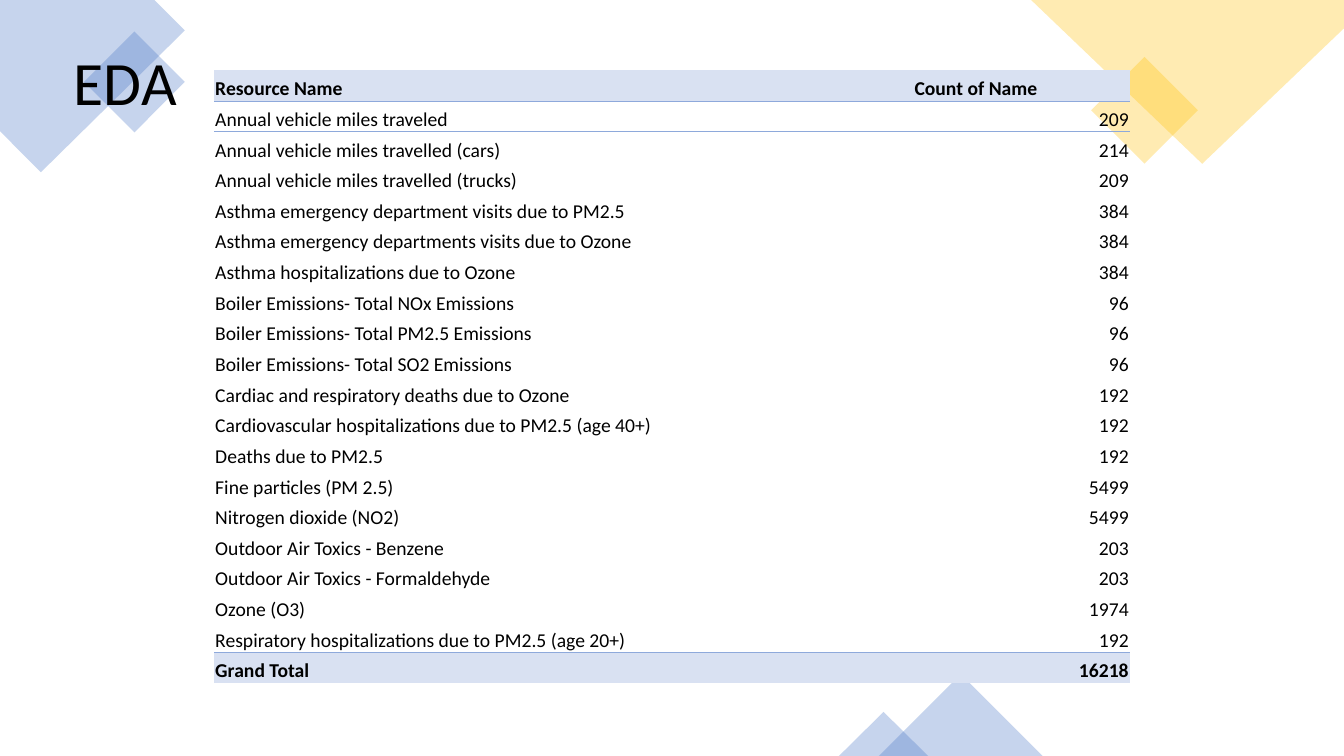
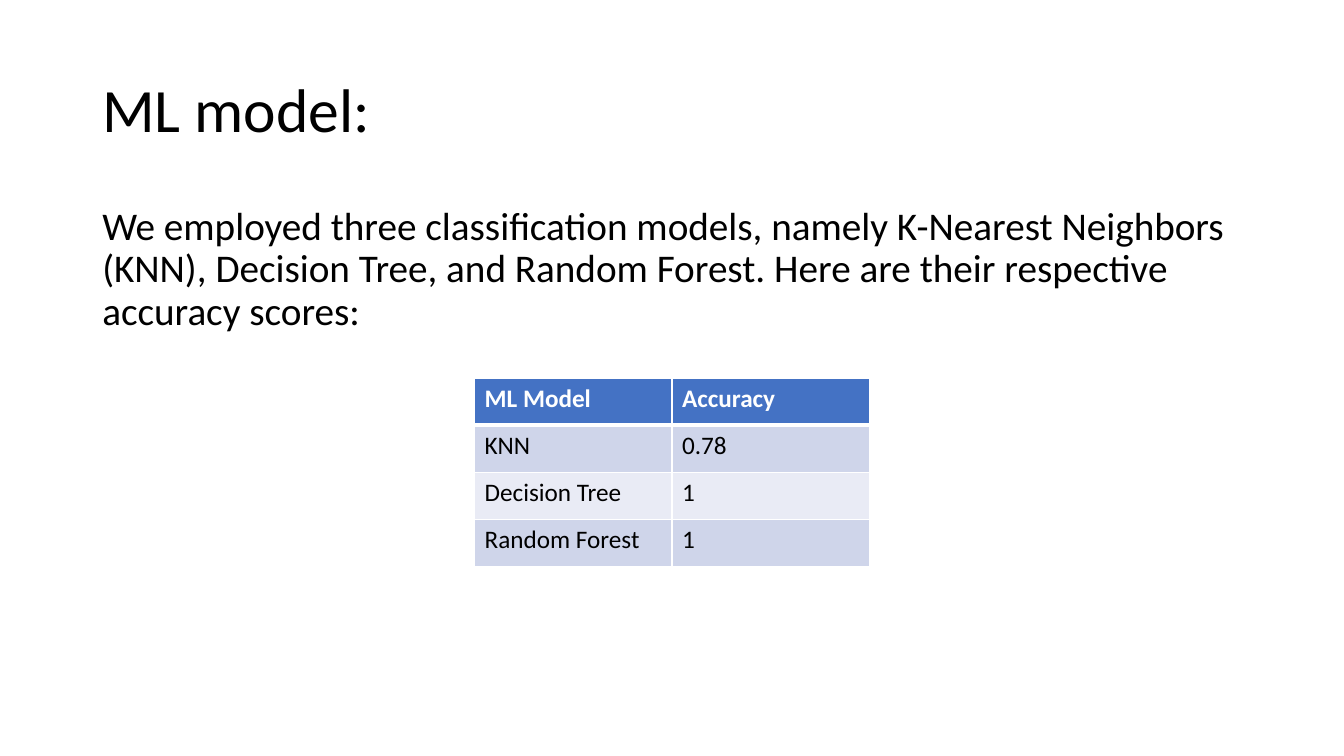
from lxml import etree
from pptx import Presentation
from pptx.dml.color import RGBColor
from pptx.enum.shapes import MSO_SHAPE
from pptx.enum.text import MSO_ANCHOR, PP_ALIGN
from pptx.oxml.ns import qn
from pptx.util import Pt

SCALE = 9525
BLACK = RGBColor(0x00, 0x00, 0x00)
WHITE = RGBColor(0xFF, 0xFF, 0xFF)
BLUE = RGBColor(0x44, 0x72, 0xC4)
GOLD = RGBColor(0xFF, 0xC0, 0x00)
PALE_BLUE = RGBColor(0xD9, 0xE1, 0xF2)
RULE_BLUE = RGBColor(0x8E, 0xA9, 0xDB)
BAND_DARK = RGBColor(0xCF, 0xD5, 0xEA)
BAND_LIGHT = RGBColor(0xE9, 0xEB, 0xF5)
RECTANGLE = MSO_SHAPE.RECTANGLE
TRIANGLE = MSO_SHAPE.ISOSCELES_TRIANGLE
TOP, MIDDLE, BOTTOM = MSO_ANCHOR.TOP, MSO_ANCHOR.MIDDLE, MSO_ANCHOR.BOTTOM
LEFT, RIGHT = PP_ALIGN.LEFT, PP_ALIGN.RIGHT
PLAIN_TABLE = "{2D5ABB26-0587-4C30-8999-92F81FD0307C}"
BORDER_TAGS = {"left": "a:lnL", "right": "a:lnR", "top": "a:lnT", "bottom": "a:lnB"}

RESOURCE_COUNTS = [
    ("Resource Name", "Count of Name"),
    ("Annual vehicle miles traveled", "209"),
    ("Annual vehicle miles travelled (cars)", "214"),
    ("Annual vehicle miles travelled (trucks)", "209"),
    ("Asthma emergency department visits due to PM2.5", "384"),
    ("Asthma emergency departments visits due to Ozone", "384"),
    ("Asthma hospitalizations due to Ozone", "384"),
    ("Boiler Emissions- Total NOx Emissions", "96"),
    ("Boiler Emissions- Total PM2.5 Emissions", "96"),
    ("Boiler Emissions- Total SO2 Emissions", "96"),
    ("Cardiac and respiratory deaths due to Ozone", "192"),
    ("Cardiovascular hospitalizations due to PM2.5 (age 40+)", "192"),
    ("Deaths due to PM2.5", "192"),
    ("Fine particles (PM 2.5)", "5499"),
    ("Nitrogen dioxide (NO2)", "5499"),
    ("Outdoor Air Toxics - Benzene", "203"),
    ("Outdoor Air Toxics - Formaldehyde", "203"),
    ("Ozone (O3)", "1974"),
    ("Respiratory hospitalizations due to PM2.5 (age 20+)", "192"),
    ("Grand Total", "16218"),
]
MODEL_SCORES = [
    ("ML Model", "Accuracy"),
    ("KNN", "0.78"),
    ("Decision Tree", "1"),
    ("Random Forest", "1"),
]
MODEL_TEXT = (
    "We employed three classification models, namely K-Nearest Neighbors (KNN), "
    "Decision Tree, and Random Forest. Here are their respective accuracy scores:"
)


def set_values(target, values):
    for name, value in values.items():
        setattr(target, name, value)


class Deck:
    """Holds the shared style and the current slide."""

    font_name = "Calibri"
    title_size = 44
    body_size = 28

    def __init__(self):
        self.presentation = Presentation()
        set_values(self.presentation,
                   {"slide_width": 1280 * SCALE, "slide_height": 720 * SCALE})
        self.slide = None

    def add_slide(self):
        self.slide = self.presentation.slides.add_slide(self.presentation.slide_layouts[6])

    def fill_text(self, frame, text, size, color=BLACK, bold=False, **layout):
        paragraph = frame.paragraphs[0]
        paragraph.text = text
        set_values(paragraph, layout)
        set_values(paragraph.font, {"name": self.font_name, "size": Pt(size), "bold": bold})
        paragraph.font.color.rgb = color

    def text(self, box, text, size, anchor=TOP, wrap=True, spacing=0.9):
        frame = self.slide.shapes.add_textbox(*(SCALE * length for length in box)).text_frame
        set_values(frame, {"word_wrap": wrap, "vertical_anchor": anchor})
        self.fill_text(frame, text, size, line_spacing=spacing)

    def title(self, box, text, **layout):
        self.text(box, text, self.title_size, **layout)

    def tint(self, shape, color):
        shape.shadow.inherit = False
        shape.line.fill.background()
        shape.fill.solid()
        shape.fill.fore_color.rgb = color
        color_element = shape.element.spPr.find(qn("a:solidFill"))[0]
        etree.SubElement(color_element, qn("a:alpha"), val="30000")

    def ornament(self, kind, box, color, rotation=0):
        shape = self.slide.shapes.add_shape(kind, *(SCALE * length for length in box))
        shape.rotation = rotation
        self.tint(shape, color)

    def polygon(self, points, color):
        builder = self.slide.shapes.build_freeform(*points[0], scale=SCALE)
        builder.add_line_segments(points[1:])
        self.tint(builder.convert_to_shape(), color)

    def borders(self, cell, borders):
        properties = cell._tc.get_or_add_tcPr()
        sides = [side for side in BORDER_TAGS if side in borders]
        for position, side in enumerate(sides):
            color, width = borders[side]
            line = etree.Element(qn(BORDER_TAGS[side]), w=str(Pt(width)))
            fill = etree.SubElement(line, qn("a:solidFill"))
            etree.SubElement(fill, qn("a:srgbClr"), val=str(color))
            properties.insert(position, line)

    def table(self, left, top, widths, height, rows, size, cell_style):
        frame = self.slide.shapes.add_table(
            len(rows), len(widths), left * SCALE, top * SCALE,
            sum(widths) * SCALE, height * SCALE)
        table = frame.table
        set_values(table, {"first_row": False, "horz_banding": False})
        table._tbl.tblPr.find(qn("a:tableStyleId")).text = PLAIN_TABLE
        for column, width in zip(table.columns, widths):
            column.width = width * SCALE
        for row_index, values in enumerate(rows):
            table.rows[row_index].height = height * SCALE // len(rows)
            for column_index, value in enumerate(values):
                cell = table.cell(row_index, column_index)
                style = cell_style(row_index, column_index)
                if style["fill"] is None:
                    cell.fill.background()
                else:
                    cell.fill.solid()
                    cell.fill.fore_color.rgb = style["fill"]
                set_values(cell, style["cell"])
                self.fill_text(cell.text_frame, value, size, **style["text"])
                self.borders(cell, style["borders"])


def count_style(row, column):
    last = len(RESOURCE_COUNTS) - 1
    emphasized = row in (0, last)
    rule = (RULE_BLUE, 0.5)
    borders = {}
    if row in (0, last - 1):
        borders["bottom"] = rule
    if row in (1, last):
        borders["top"] = rule
    return {
        "fill": PALE_BLUE if emphasized else None,
        "cell": {"vertical_anchor": BOTTOM, "margin_left": SCALE, "margin_right": SCALE,
                 "margin_top": SCALE, "margin_bottom": 0},
        "text": {"bold": emphasized, "alignment": RIGHT if row and column else LEFT},
        "borders": borders,
    }


def score_style(row, column):
    header = row == 0
    borders = dict.fromkeys(BORDER_TAGS, (WHITE, 1))
    if header:
        borders["bottom"] = (WHITE, 3)
    elif row == 1:
        borders["top"] = (WHITE, 3)
    return {
        "fill": BLUE if header else BAND_DARK if row % 2 else BAND_LIGHT,
        "cell": {"vertical_anchor": TOP},
        "text": {"bold": header, "color": WHITE if header else BLACK},
        "borders": borders,
    }


def add_eda_slide(deck):
    deck.add_slide()
    deck.polygon([(147, 0), (0, 0), (0, 125), (39, 164), (176, 29)], BLUE)
    deck.ornament(RECTANGLE, (94, 44, 68, 68), BLUE, 45)
    deck.ornament(RECTANGLE, (1054, 69, 72, 72), GOLD, 45)
    deck.polygon([(1280, 0), (982, 0), (1145, 156), (1280, 27)], GOLD)
    deck.ornament(TRIANGLE, (837, 642, 156, 78), BLUE)
    deck.ornament(TRIANGLE, (799, 678, 85, 42), BLUE)
    deck.table(204, 67, (666, 206), 584, RESOURCE_COUNTS, 14, count_style)
    deck.title((61, 37, 118, 81), "EDA", wrap=False, spacing=1.0)


def add_model_slide(deck):
    deck.add_slide()
    deck.title((88, 38, 1104, 139), "ML model:", anchor=MIDDLE)
    deck.text((88, 192, 1104, 457), MODEL_TEXT, deck.body_size)
    deck.table(452, 360, (188, 188), 180, MODEL_SCORES, 18, score_style)


def main():
    deck = Deck()
    add_eda_slide(deck)
    add_model_slide(deck)
    deck.presentation.save("out.pptx")


if __name__ == "__main__":
    main()
